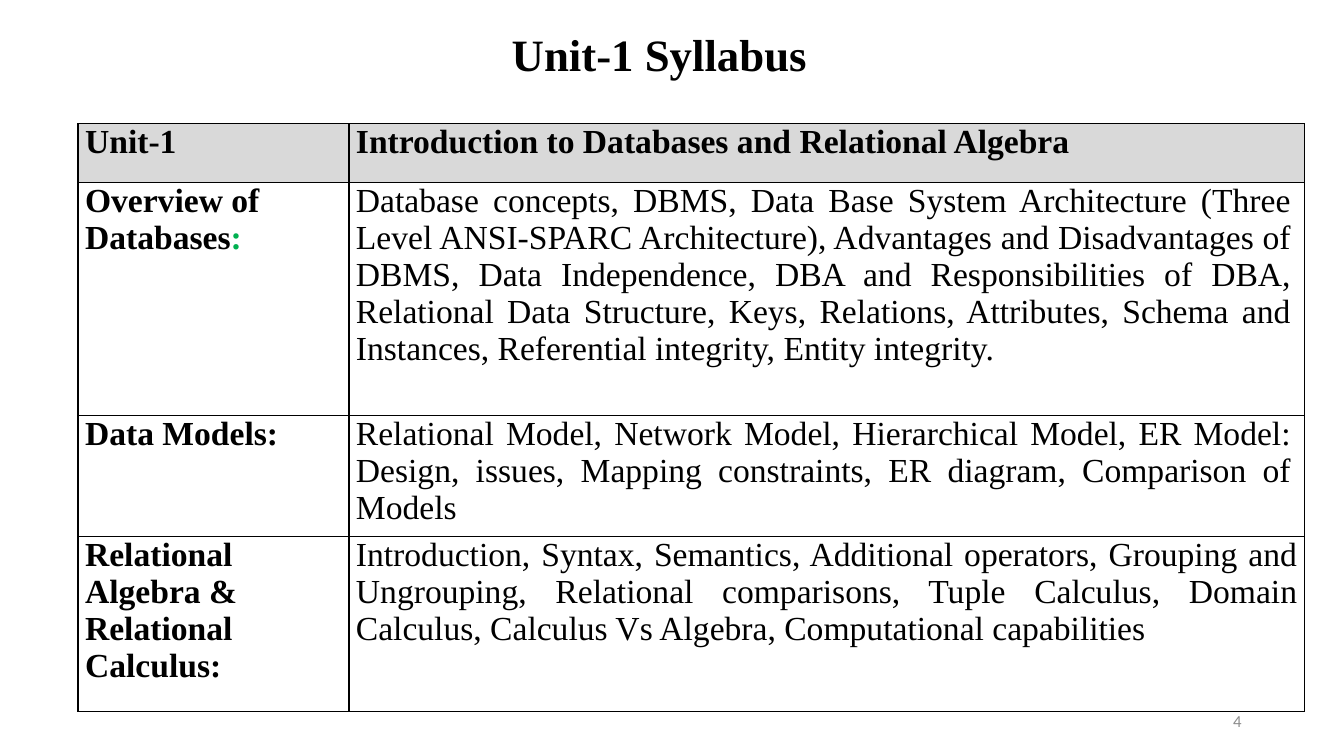
from lxml.etree import SubElement
from pptx import Presentation
from pptx.dml.color import RGBColor as RGB
from pptx.enum.text import MSO_ANCHOR as ANCHOR, MSO_AUTO_SIZE as FIT, PP_ALIGN as ALIGN
from pptx.oxml.ns import qn
from pptx.util import Pt

COLORS = {"ink": "000000", "accent": "00B050", "header": "D9D9D9", "number": "8C8C8C"}
SERIF = "Times New Roman"
HEADINGS = ("Unit-1", "Introduction to Databases and Relational Algebra")
# Topic, coloured ending of the topic, content, right indent of the content
TOPICS = [
    ("Overview of Databases", ":",
     "Database concepts, DBMS, Data Base System Architecture (Three Level ANSI-SPARC "
     "Architecture), Advantages and Disadvantages of DBMS, Data Independence, DBA and "
     "Responsibilities of DBA, Relational Data Structure, Keys, Relations, Attributes, "
     "Schema and Instances, Referential integrity, Entity integrity.", 4.5),
    ("Data Models:", "",
     "Relational Model, Network Model, Hierarchical Model, ER Model: Design, issues, "
     "Mapping constraints, ER diagram, Comparison of Models", 4.5),
    ("Relational Algebra & Relational Calculus:", "",
     "Introduction, Syntax, Semantics, Additional operators, Grouping and Ungrouping, "
     "Relational comparisons, Tuple Calculus, Domain Calculus, Calculus Vs Algebra, "
     "Computational capabilities", 0),
]
COLUMN_WIDTHS = (193.5, 682.5)
ROW_HEIGHTS = (41.75, 166.5, 83.5, 125)


def style_run(run, size, color="ink", bold=False, face=SERIF):
    font = run.font
    font.name, font.size, font.bold = face, Pt(size), bold
    font.color.rgb = RGB.from_string(COLORS[color])


def add_title(slide, left, top, width, height):
    title = slide.shapes.title
    title.left, title.top, title.width, title.height = map(Pt, (left, top, width, height))
    frame = title.text_frame
    frame.text = "Unit-1 Syllabus"
    frame.auto_size = FIT.NONE
    frame.vertical_anchor = ANCHOR.MIDDLE
    heading = frame.paragraphs[0]
    heading.alignment, heading.line_spacing = ALIGN.CENTER, 0.9
    style_run(heading.runs[0], 32, bold=True)


def add_page_number(slide, left, top, width, height):
    frame = slide.shapes.add_textbox(*map(Pt, (left, top, width, height))).text_frame
    frame.text = "4"
    frame.word_wrap = True
    frame.vertical_anchor = ANCHOR.MIDDLE
    number = frame.paragraphs[0]
    number.alignment = ALIGN.RIGHT
    style_run(number.runs[0], 12, "number", face="Calibri")


def add_borders(cell):
    properties = cell._tc.get_or_add_tcPr()
    for position, side in enumerate(("lnL", "lnR", "lnT", "lnB")):
        line = SubElement(properties, qn(f"a:{side}"), w=str(Pt(1)))
        fill = SubElement(line, qn("a:solidFill"))
        SubElement(fill, qn("a:srgbClr"), val=COLORS["ink"])
        properties.insert(position, line)


def fill_cell(cell, text, bold, alignment, header=False):
    cell.margin_left = cell.margin_right = Pt(5)
    cell.margin_top = cell.margin_bottom = Pt(0)
    if header:
        cell.fill.solid()
        cell.fill.fore_color.rgb = RGB.from_string(COLORS["header"])
    else:
        cell.fill.background()
    add_borders(cell)
    cell.text_frame.text = text
    paragraph = cell.text_frame.paragraphs[0]
    paragraph.alignment = alignment
    style_run(paragraph.runs[0], 24, bold=bold)
    return paragraph


def add_syllabus(slide, left, top, width, height):
    syllabus = slide.shapes.add_table(
        len(ROW_HEIGHTS), len(COLUMN_WIDTHS), *map(Pt, (left, top, width, height))).table
    for column, column_width in zip(syllabus.columns, COLUMN_WIDTHS):
        column.width = Pt(column_width)
    for row, row_height in zip(syllabus.rows, ROW_HEIGHTS):
        row.height = Pt(row_height)

    # Header row
    for column, heading in enumerate(HEADINGS):
        fill_cell(syllabus.cell(0, column), heading, True, ALIGN.JUSTIFY, header=True)

    # Topic rows
    for row, (topic, ending, content, indent) in enumerate(TOPICS, 1):
        label = fill_cell(syllabus.cell(row, 0), topic, True, ALIGN.LEFT)
        if ending:
            colon = label.add_run()
            colon.text = ending
            style_run(colon, 24, "accent", bold=True)
        details = fill_cell(syllabus.cell(row, 1), content, False, ALIGN.JUSTIFY)
        details._p.get_or_add_pPr().set("marR", str(Pt(indent)))


def main():
    deck = Presentation()
    deck.slide_width, deck.slide_height = Pt(960), Pt(540)
    slide = deck.slides.add_slide(deck.slide_layouts[5])
    add_title(slide, 57, 7, 828, 68)
    add_page_number(slide, 678, 500.5, 216, 28.75)
    add_syllabus(slide, 55.75, 88.5, sum(COLUMN_WIDTHS), sum(ROW_HEIGHTS))
    deck.save("out.pptx")


if __name__ == "__main__":
    main()
